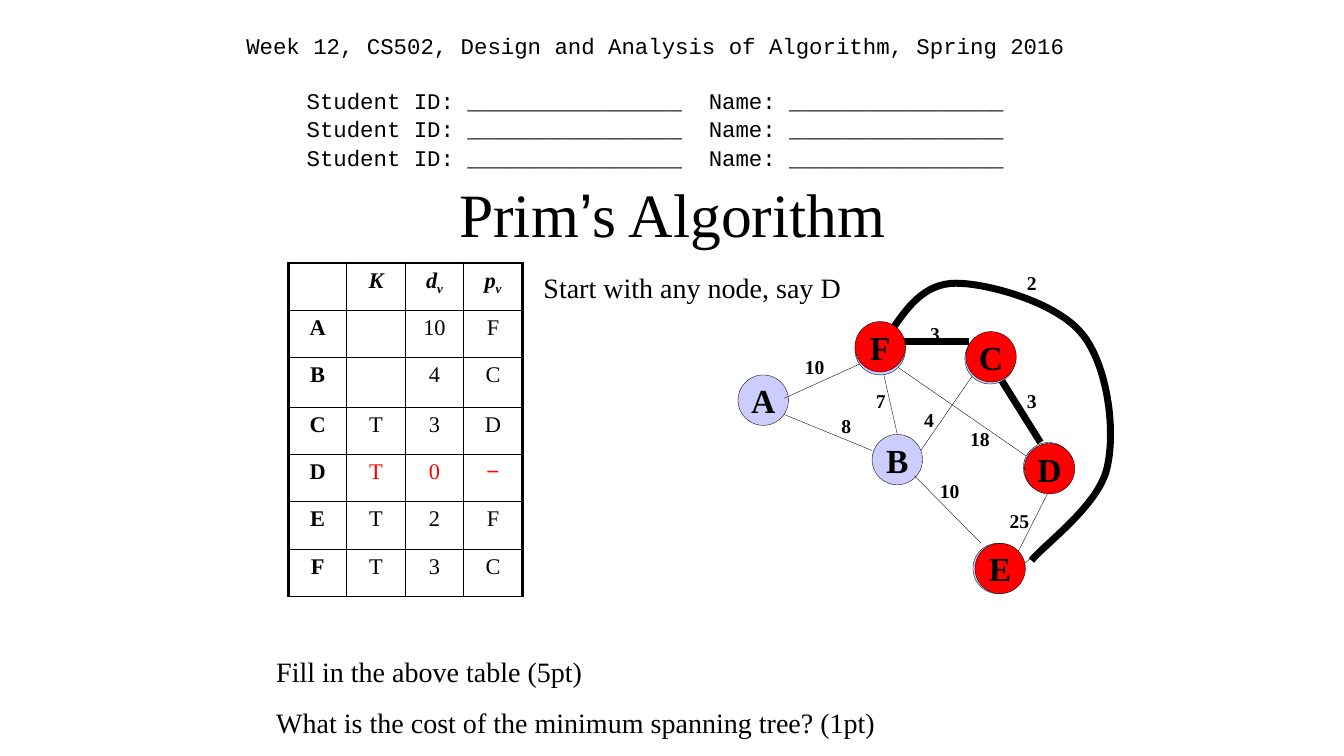
from dataclasses import dataclass

from lxml.etree import SubElement
from pptx import Presentation
from pptx.dml.color import RGBColor
from pptx.enum.shapes import MSO_CONNECTOR, MSO_SHAPE
from pptx.enum.text import MSO_ANCHOR, MSO_AUTO_SIZE, PP_ALIGN
from pptx.oxml.ns import qn
from pptx.util import Inches, Pt


@dataclass(frozen=True)
class Theme:
    black: str = "000000"
    red: str = "FF0000"
    lavender: str = "CCCCFF"
    serif: str = "Times New Roman"
    sans: str = "Arial"
    mono: str = "Courier New"
    title: int = 44
    node: int = 24
    body: int = 20
    small: int = 16
    weight: int = 14
    hairline: float = 0.25
    thick: float = 5
    grid: float = 1
    frame: float = 2.25


THEME = Theme()

COURSE = "Week 12, CS502, Design and Analysis of Algorithm, Spring 2016"
STUDENT = "Student ID: ________________  Name: ________________"
TITLE = [("Prim", {}), ("’", {"font": THEME.sans}), ("s Algorithm", {})]
HINT = "Start with any node, say D"
QUESTIONS = ["Fill in the above table (5pt)",
             "What is the cost of the minimum spanning tree? (1pt)"]

SUBSCRIPT = {"baseline": -25}
TABLE_ROWS = [
    ["", "K", [("d", {}), ("v", SUBSCRIPT)], [("p", {}), ("v", SUBSCRIPT)]],
    ["A", "", "10", "F"],
    ["B", "", "4", "C"],
    ["C", "T", "3", "D"],
    ["D", "T", "0", [("−", {"font": THEME.sans})]],
    ["E", "T", "2", "F"],
    ["F", "T", "3", "C"],
]
START_ROW = 4
ROW_HEIGHTS = [0.47, 0.47, 0.49, 0.47, 0.47, 0.47, 0.47]
COLUMN_WIDTH = 0.58

# Edges: start x, start y, end x, end y
EDGES_BEHIND_NODES = [
    (10.52, 4.64, 10.1, 5.47), (8.73, 3.56, 8.9, 4.31), (9.07, 4.56, 9.65, 3.72),
    (10.23, 4.56, 8.9, 3.64), (7.65, 4.06, 8.65, 4.47),
]
TREE_EDGES = [(8.95, 3.39, 9.61, 3.39), (9.9, 3.72, 10.32, 4.39)]
EDGES_OVER_NODES = [
    (9.07, 4.72, 9.73, 5.39), (7.78, 3.95, 8.53, 3.61), (10.4, 5.39, 10.15, 5.6),
]
# Start point, then three control points for each curve segment
TREE_ARC = [
    (8.82, 3.31),
    (8.99, 3.06), (9.16, 2.81), (9.48, 2.81),
    (9.8, 2.81), (10.48, 3), (10.73, 3.31),
    (10.98, 3.61), (11.07, 4.26), (10.98, 4.64),
    (10.9, 5.01), (10.36, 5.4), (10.23, 5.56),
]
# Nodes: letter, left, top
NODE_SIZE = 0.5
OPEN_NODES = [("A", 7.32, 3.72), ("B", 8.65, 4.31)]
NODE_RIMS = [("", 8.48, 3.22), ("", 9.65, 5.39), ("", 10.15, 4.39), ("", 9.57, 3.31)]
VISITED_NODES = [("D", 10.16, 4.4), ("C", 9.58, 3.29), ("F", 8.48, 3.19), ("E", 9.67, 5.39)]
# Weights: value, left, top
WEIGHTS = [
    ("25", 9.85, 5), ("10", 9.16, 4.7), ("18", 9.46, 4.19), ("3", 10.07, 3.81),
    ("4", 9.05, 4), ("3", 9.11, 3.14), ("7", 8.57, 3.81), ("8", 8.23, 4.06),
    ("10", 7.82, 3.47), ("2", 10.07, 2.64),
]


def color(value):
    return RGBColor.from_string(value)


def write(frame, paragraphs, size, font=THEME.serif, tint=THEME.black, bold=False,
          italic=False, align=PP_ALIGN.LEFT, gaps=(), line_spacing=None):
    """Fill a frame; a paragraph is a string or a list of (text, overrides)."""
    for index, content in enumerate(paragraphs):
        para = frame.paragraphs[0] if index == 0 else frame.add_paragraph()
        para.alignment = align
        para.line_spacing = line_spacing
        para.space_before = Pt(gaps[index] if gaps else 0)
        para.font.size = Pt(size)
        spans = [(content, {})] if isinstance(content, str) else content
        for text, overrides in spans:
            if not text:
                continue
            span = para.add_run()
            span.text = text
            span.font.size = Pt(size)
            span.font.name = overrides.get("font", font)
            span.font.bold, span.font.italic = bold, italic
            span.font.color.rgb = color(tint)
            if "baseline" in overrides:
                span.font._element.set("baseline", str(overrides["baseline"] * 1000))


def set_margins(frame, inset):
    frame.margin_left = frame.margin_right = Inches(inset)
    frame.margin_top = frame.margin_bottom = Inches(inset)


def add_text(page, place, paragraphs, inset=0.05, **style):
    frame = page.shapes.add_textbox(*map(Inches, place)).text_frame
    frame.word_wrap = True
    set_margins(frame, inset)
    write(frame, paragraphs, **style)


def set_line(shape, width):
    shape.line.color.rgb = color(THEME.black)
    shape.line.width = Pt(width)


def add_edge(page, ends, width):
    edge = page.shapes.add_connector(MSO_CONNECTOR.STRAIGHT, *map(Inches, ends))
    set_line(edge, width)
    SubElement(edge._element.spPr, qn("a:effectLst"))


def add_node(page, letter, left, top, fill):
    node = page.shapes.add_shape(MSO_SHAPE.OVAL, *map(Inches, (left, top, NODE_SIZE, NODE_SIZE)))
    node.shadow.inherit = False
    node.fill.solid()
    node.fill.fore_color.rgb = color(fill)
    set_line(node, THEME.hairline)
    if letter:
        frame = node.text_frame
        frame.word_wrap = False
        frame.vertical_anchor = MSO_ANCHOR.MIDDLE
        set_margins(frame, 0.05)
        write(frame, [letter], size=THEME.node, bold=True, align=PP_ALIGN.CENTER)


def add_curve(page, points, width):
    """Draw a polyline through all points, then turn each three into a Bézier segment."""
    start, *controls = [(Inches(x), Inches(y)) for x, y in points]
    builder = page.shapes.build_freeform(*start)
    builder.add_line_segments(controls, close=False)
    curve = builder.convert_to_shape()
    curve.shadow.inherit = False
    curve.fill.background()
    set_line(curve, width)
    outline = next(curve._element.iter(qn("a:path")))
    segments = outline.findall(qn("a:lnTo"))
    for first in range(0, len(segments), 3):
        bezier = SubElement(outline, qn("a:cubicBezTo"))
        for segment in segments[first:first + 3]:
            bezier.append(segment[0])
            outline.remove(segment)


def set_borders(cell, widths):
    properties = cell._tc.get_or_add_tcPr()
    for side, width in widths.items():
        border = SubElement(properties, qn(f"a:ln{side}"), w=str(Pt(width)))
        fill = SubElement(border, qn("a:solidFill"))
        SubElement(fill, qn("a:srgbClr"), val=THEME.black)


def add_state_table(page):
    columns = len(TABLE_ROWS[0])
    place = (2.86, 2.61, columns * COLUMN_WIDTH, sum(ROW_HEIGHTS))
    table = page.shapes.add_table(len(TABLE_ROWS), columns, *map(Inches, place)).table
    table.first_row = table.horz_banding = False
    for column in table.columns:
        column.width = Inches(COLUMN_WIDTH)
    for r, values in enumerate(TABLE_ROWS):
        table.rows[r].height = Inches(ROW_HEIGHTS[r])
        for c, value in enumerate(values):
            cell = table.cell(r, c)
            set_margins(cell, 0.05)
            set_borders(cell, {
                "L": THEME.frame if c == 0 else THEME.grid,
                "R": THEME.frame if c == columns - 1 else THEME.grid,
                "T": THEME.frame if r == 0 else THEME.grid,
                "B": THEME.grid,
            })
            cell.fill.background()
            write(cell.text_frame, [value], size=THEME.small, bold=r == 0 or c == 0,
                  italic=r == 0, align=PP_ALIGN.CENTER,
                  tint=THEME.red if r == START_ROW and c > 0 else THEME.black)


def add_graph(page):
    for ends in EDGES_BEHIND_NODES:
        add_edge(page, ends, THEME.hairline)
    for ends in TREE_EDGES:
        add_edge(page, ends, THEME.thick)
    for node in OPEN_NODES + NODE_RIMS:
        add_node(page, *node, fill=THEME.lavender)
    for ends in EDGES_OVER_NODES:
        add_edge(page, ends, THEME.hairline)
    for value, left, top in WEIGHTS:
        width = 0.52 if len(value) == 2 else 0.33
        add_text(page, (left, top, width, 0.31), [value], size=THEME.weight,
                 bold=True, align=PP_ALIGN.CENTER)
    add_curve(page, TREE_ARC, THEME.thick)
    for node in VISITED_NODES:
        add_node(page, *node, fill=THEME.red)


def main():
    deck = Presentation()
    deck.slide_width, deck.slide_height = Inches(13.33), Inches(7.5)
    page = deck.slides.add_slide(deck.slide_layouts[5])
    title = page.shapes.title
    title.left, title.top, title.width, title.height = map(Inches, (2.42, 1.49, 8.5, 1.25))
    title.text_frame.auto_size = MSO_AUTO_SIZE.NONE
    title.text_frame.vertical_anchor = MSO_ANCHOR.MIDDLE
    set_margins(title.text_frame, 0.05)
    write(title.text_frame, [TITLE], size=THEME.title, align=PP_ALIGN.CENTER)
    add_text(page, (1.88, 0.27, 9.24, 1.81), [COURSE] + [STUDENT] * 3, inset=0.04,
             size=THEME.small, font=THEME.mono, align=PP_ALIGN.CENTER,
             gaps=(0, 19, 0, 0), line_spacing=1.05)
    add_text(page, (5.34, 2.63, 3.17, 0.41), [HINT], size=THEME.body)
    add_state_table(page)
    add_graph(page)
    add_text(page, (2.69, 6.44, 6.83, 0.89), QUESTIONS, size=THEME.body, gaps=(0, 13))
    deck.save("out.pptx")


if __name__ == "__main__":
    main()
